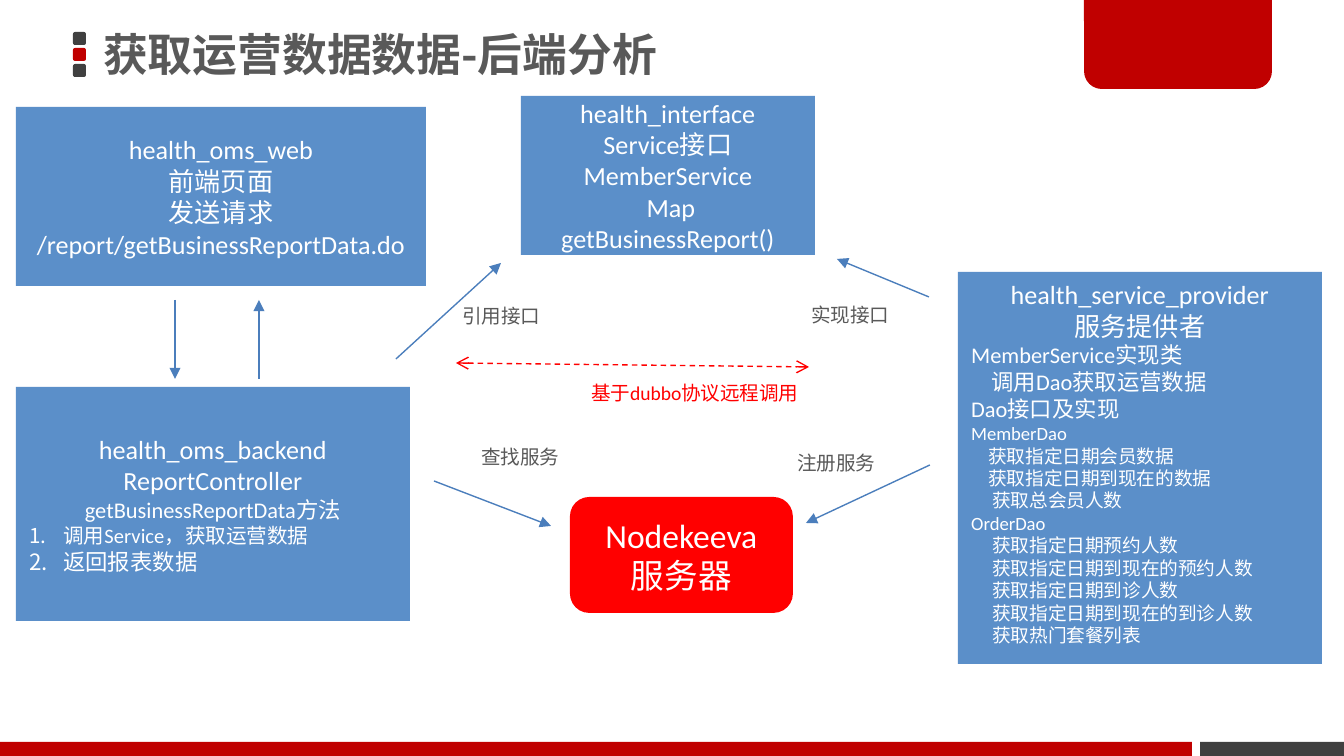
"""Builds the slide on the back-end flow that fetches business report data."""
from lxml.etree import SubElement
from pptx import Presentation
from pptx.dml.color import RGBColor
from pptx.enum.dml import MSO_LINE
from pptx.enum.shapes import MSO_CONNECTOR, MSO_SHAPE
from pptx.enum.text import MSO_ANCHOR, MSO_AUTO_SIZE, PP_ALIGN
from pptx.oxml.ns import qn
from pptx.util import Pt

PX = 914400 / 134.4
LATIN, CJK = "Calibri", "Noto Sans CJK SC"
WHITE = RGBColor(0xFF, 0xFF, 0xFF)
GREY = RGBColor(0x59, 0x59, 0x59)
DARK = RGBColor(0x40, 0x40, 0x40)
CRIMSON = RGBColor(0xC0, 0x00, 0x00)
RED = RGBColor(0xFF, 0x00, 0x00)
BLUE = RGBColor(0x5B, 0x8F, 0xC9)
ARROW = RGBColor(0x4B, 0x7E, 0xBC)

RECT, ROUND = MSO_SHAPE.RECTANGLE, MSO_SHAPE.ROUNDED_RECTANGLE
TOP, MIDDLE = MSO_ANCHOR.TOP, MSO_ANCHOR.MIDDLE
CENTER, LEFT, NUMBERED = "center", "left", "numbered"
NUMBER_INDENT = 34

TITLE = "获取运营数据数据-后端分析"
DECOR = [
    *((ROUND, (73, 32 + 16 * i, 13, 13), c) for i, c in enumerate((DARK, CRIMSON, DARK))),
    (RECT, (1200, 742, 144, 14), DARK),
    (RECT, (0, 742, 1192, 14), CRIMSON),
]
TAB = (1084, 0, 188, 89)

BOXES = [
    (RECT, (16, 387, 394, 234), BLUE, MIDDLE, [
        (14, CENTER, 0, ["health_oms_backend", "ReportController"]),
        (12, CENTER, 0, ["getBusinessReportData方法"]),
        (11, NUMBERED, NUMBER_INDENT, ["调用Service，获取运营数据"]),
        (12, NUMBERED, NUMBER_INDENT, ["返回报表数据"]),
    ]),
    (ROUND, (570, 497, 223, 116), RED, MIDDLE, [(18, CENTER, 0, ["Nodekeeva", "服务器"])]),
    (RECT, (958, 272, 364, 392), BLUE, TOP, [
        (14, CENTER, 0, ["health_service_provider", "服务提供者"]),
        (12, LEFT, 0, ["MemberService实现类"]),
        (12, LEFT, 20, ["调用Dao获取运营数据"]),
        (12, LEFT, 0, ["Dao接口及实现"]),
        (10, LEFT, 0, ["MemberDao"]),
        (10, LEFT, 17, ["获取指定日期会员数据", "获取指定日期到现在的数据"]),
        (10, LEFT, 21, ["获取总会员人数"]),
        (10, LEFT, 0, ["OrderDao"]),
        (10, LEFT, 21, ["获取指定日期预约人数", "获取指定日期到现在的预约人数",
                        "获取指定日期到诊人数", "获取指定日期到现在的到诊人数",
                        "获取热门套餐列表"]),
    ]),
    (RECT, (521, 96, 294, 159), BLUE, MIDDLE, [
        (14, CENTER, 0, ["health_interface", "Service接口", "MemberService",
                         " Map getBusinessReport()"]),
    ]),
    (RECT, (16, 107, 410, 179), BLUE, MIDDLE, [
        (14, CENTER, 0, ["health_oms_web", "前端页面", "发送请求",
                         "/report/getBusinessReportData.do"]),
    ]),
]
LABELS = [
    ("注册服务", (784, 444, 106, 38), GREY, False),
    ("查找服务", (468, 438, 106, 38), GREY, False),
    ("实现接口", (798, 296, 106, 38), GREY, False),
    ("引用接口", (449, 297, 106, 38), GREY, False),
    ("基于dubbo协议远程调用", (578, 374, 238, 38), RED, True),
]
CALLS = [
    (929, 297, 837, 259), (396, 359, 501, 263), (434, 481, 551, 526),
    (930, 465, 806, 523), (175, 300, 175, 379), (259, 379, 259, 300),
]
REMOTE_CALL = (456, 363, 809, 367)


def emu(lengths):
    return [round(n * PX) for n in lengths]


def add_run(p, text, size, color, font=LATIN):
    r = p.add_run()
    r.text = text
    r.font.size, r.font.name = Pt(size), font
    r.font.color.rgb = color
    SubElement(r.font._element, qn("a:ea"), typeface=CJK)
    return r


def add_block(s, kind, at, fill):
    sp = s.shapes.add_shape(kind, *emu(at))
    sp.shadow.inherit = False
    sp.fill.solid()
    sp.fill.fore_color.rgb = fill
    sp.line.fill.background()
    return sp


def fill_text(tf, groups):
    lines = [(text, size, style, indent) for size, style, indent, texts in groups for text in texts]
    for i, (text, size, style, indent) in enumerate(lines):
        p = tf.add_paragraph() if i else tf.paragraphs[0]
        p.alignment = PP_ALIGN.CENTER if style == CENTER else PP_ALIGN.LEFT
        pPr = p._p.get_or_add_pPr()
        if indent:
            pPr.set("marL", str(round(indent * PX)))
        if style == NUMBERED:
            pPr.set("indent", str(round(-indent * PX)))
            SubElement(pPr, qn("a:buAutoNum"), type="arabicPeriod")
        add_run(p, text, size, WHITE)


def add_arrow(s, ends, color, **heads):
    cn = s.shapes.add_connector(MSO_CONNECTOR.STRAIGHT, *emu(ends))
    cn.line.color.rgb, cn.line.width = color, Pt(0.75)
    if "headEnd" in heads:
        cn.line.dash_style = MSO_LINE.DASH
    for tag, kind in heads.items():
        SubElement(cn.line._get_or_add_ln(), qn(f"a:{tag}"), type=kind)
    SubElement(cn._element.spPr, qn("a:effectLst"))


def add_title(s):
    sp = s.shapes.title
    sp.left, sp.top, sp.width, sp.height = emu((93, -3, 961, 120))
    tf = sp.text_frame
    tf.auto_size, tf.vertical_anchor = MSO_AUTO_SIZE.NONE, MIDDLE
    tf.margin_left, tf.margin_top, tf.margin_right, tf.margin_bottom = emu((10, 5, 10, 5))
    p = tf.paragraphs[0]
    p.alignment, p.line_spacing = PP_ALIGN.LEFT, 0.9
    add_run(p, TITLE, 24, GREY, CJK).font.bold = True


def main():
    prs = Presentation()
    prs.slide_width, prs.slide_height = emu((1344, 756))
    s = prs.slides.add_slide(prs.slide_layouts[5])
    for kind, at, fill in DECOR:
        add_block(s, kind, at, fill)
    tab = add_block(s, MSO_SHAPE.ROUND_2_SAME_RECTANGLE, TAB, CRIMSON)
    tab.adjustments[0], tab.rotation = 0.2, 180
    add_title(s)
    for kind, at, fill, anchor, groups in BOXES:
        tf = add_block(s, kind, at, fill).text_frame
        tf.word_wrap, tf.vertical_anchor = True, anchor
        fill_text(tf, groups)
    for ends in CALLS:
        add_arrow(s, ends, ARROW, tailEnd="triangle")
    add_arrow(s, REMOTE_CALL, RED, headEnd="arrow", tailEnd="arrow")
    for text, at, color, wrap in LABELS:
        tf = s.shapes.add_textbox(*emu(at)).text_frame
        tf.word_wrap = wrap
        add_run(tf.paragraphs[0], text, 10.5, color)
    prs.save("out.pptx")


if __name__ == "__main__":
    main()
